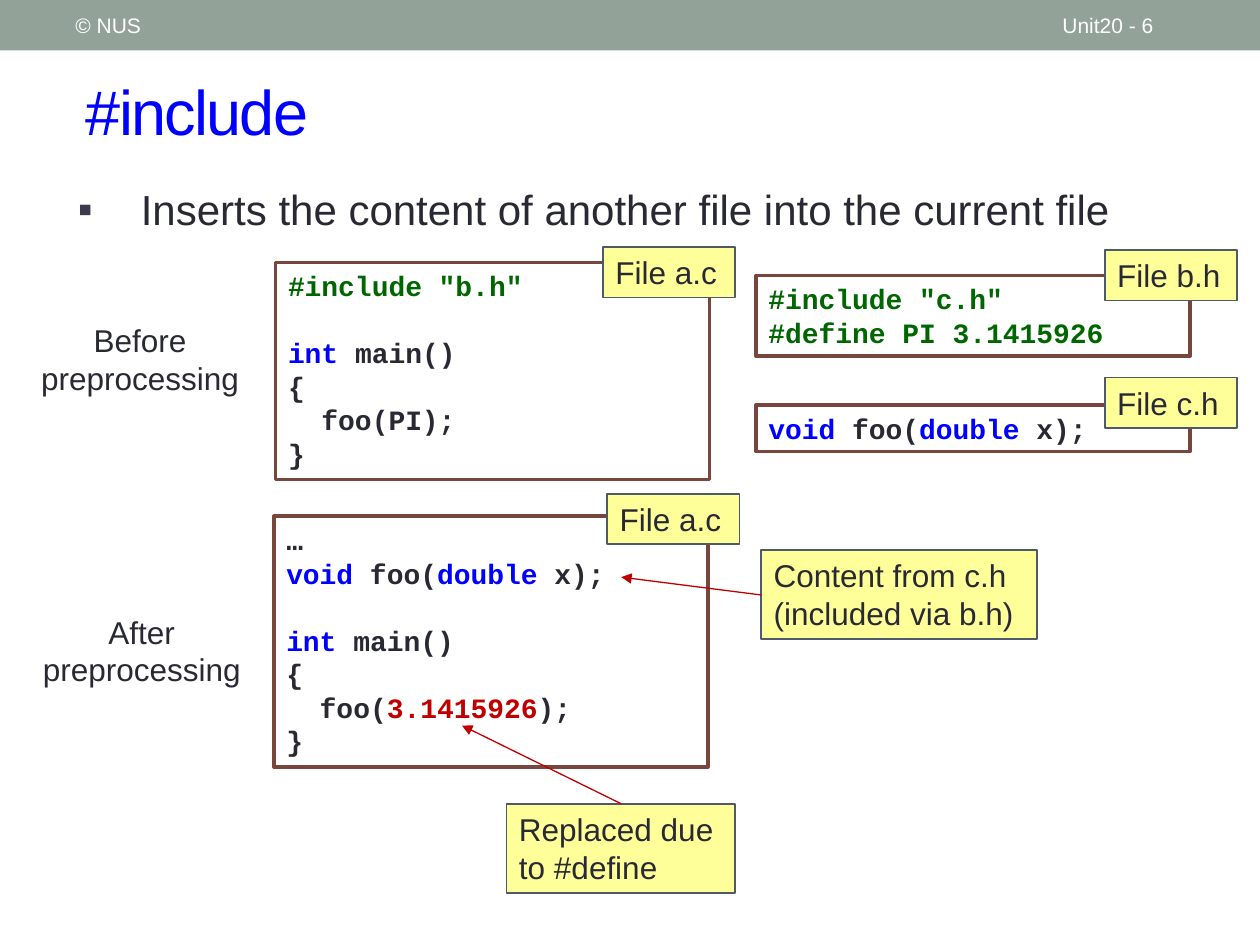
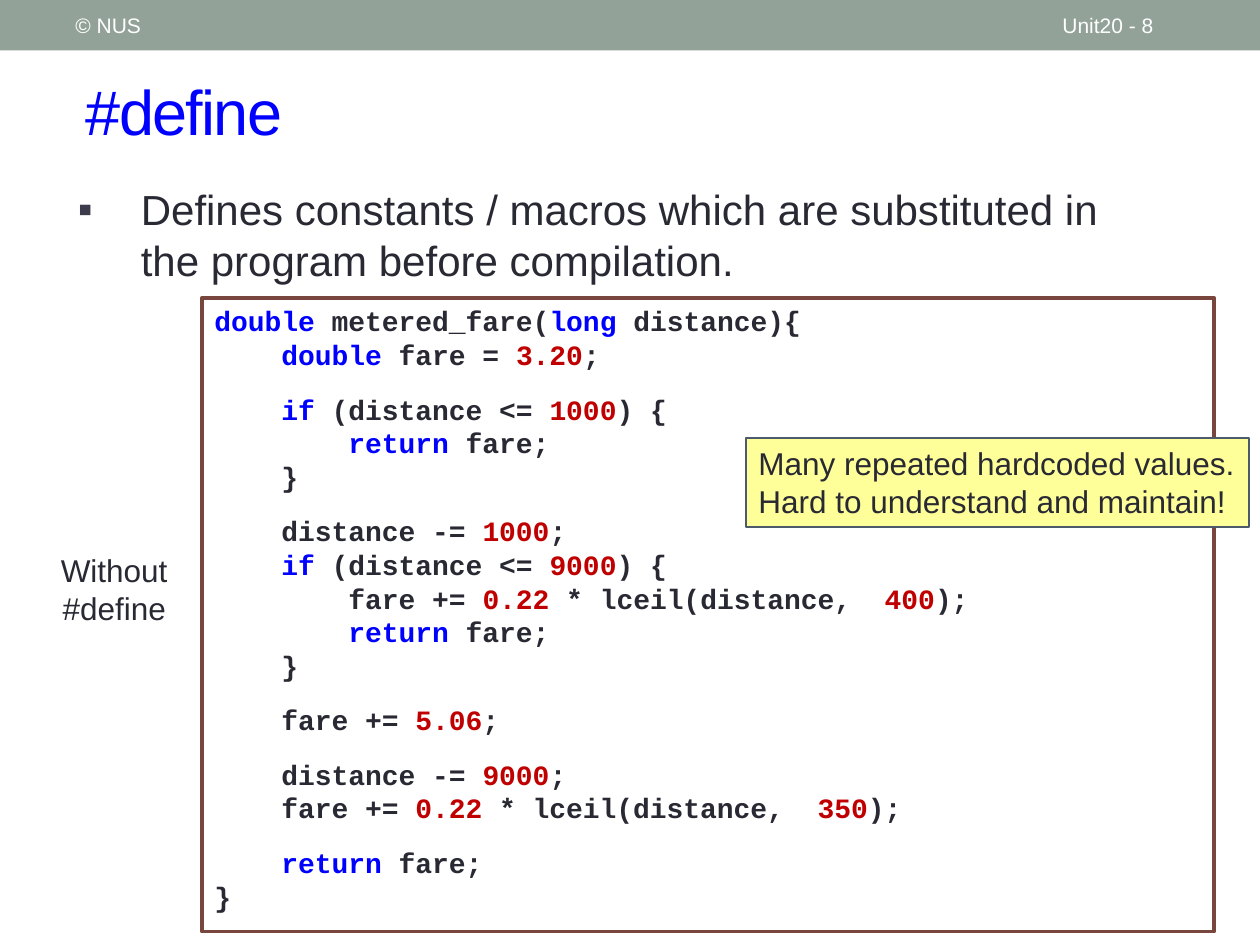
from itertools import groupby

from lxml import etree
from pptx import Presentation
from pptx.dml.color import RGBColor
from pptx.enum.shapes import MSO_CONNECTOR as Connector, MSO_SHAPE as Shape
from pptx.enum.text import MSO_ANCHOR as Anchor, PP_ALIGN as Align
from pptx.oxml.ns import qn
from pptx.util import Pt

WHITE, INK, BAND = "FFFFFF", "292934", "93A299"
TITLE_BLUE, BULLET = "0000FF", "3B3B4B"
KEYWORD, NUMBER, DIRECTIVE = "0000FF", "C00000", "006600"
CODE_EDGE, NOTE_FILL, NOTE_EDGE, ARROW = "79463D", "FFFF99", "4C5A6A", "C00000"
SANS, MONO = "Arial", "Courier New"
LINE_HEIGHT = 1.2
KEYWORDS = {"int", "void", "double", "long", "if", "return"}

A_BEFORE = """#include "b.h"

int main()
{
  foo(PI);
}"""
B_HEADER = """#include "c.h"
#define PI 3.1415926"""
C_HEADER = "void foo(double x);"
A_AFTER = """…
void foo(double x);

int main()
{
  foo(3.1415926);
}"""
METERED_FARE = """double metered_fare(long distance){
    double fare = 3.20;

    if (distance <= 1000) {
        return fare;
    }

    distance -= 1000;
    if (distance <= 9000) {
        fare += 0.22 * lceil(distance,  400);
        return fare;
    }

    fare += 5.06;

    distance -= 9000;
    fare += 0.22 * lceil(distance,  350);

    return fare;
}"""

TAG_SIZE = (75.6, 28.8)
LABEL_SIZE = (137, 70.6)

# Each box is (left, top, width, height); "gap" is the height of an empty code line.
SLIDES = [
    {
        "title": "#include",
        "number": 6,
        "point": "Inserts the content of another file into the current file",
        "gap": 19.2,
        "code": [
            (A_BEFORE, (157.5, 150, 248, 124)),
            (B_HEADER, (432, 157.5, 248, 46)),
            (C_HEADER, (432, 231.5, 248, 26.6)),
            (A_AFTER, (156.5, 295, 248, 143.3)),
        ],
        "labels": [
            ("Before preprocessing", (11.5, 170, *LABEL_SIZE)),
            ("After preprocessing", (12.5, 336.3, *LABEL_SIZE)),
        ],
        "notes": [
            ("File a.c", (344.6, 141.2, *TAG_SIZE)),
            ("File b.h", (631.3, 143, *TAG_SIZE)),
            ("File c.h", (631.3, 215.8, *TAG_SIZE)),
            ("File a.c", (347, 282.2, *TAG_SIZE)),
            ("Replaced due to #define", (289.5, 459.3, 130.5, 51)),
            ("Content from c.h (included via b.h)", (435, 314.3, 157.7, 51)),
        ],
        "arrows": [(355, 459.3, 264, 414.6), (435, 340, 355, 329.8)],
    },
    {
        "title": "#define",
        "number": 8,
        "point": "Defines constants / macros which are substituted in the program "
                 "before compilation.",
        "gap": 12,
        "code": [(METERED_FARE, (115.4, 170.2, 578.4, 362.2))],
        "labels": [("Without #define", (0, 301, 130.5, 70.6))],
        "notes": [("Many repeated hardcoded values.\nHard to understand and maintain!",
                   (426.3, 250.3, 287.5, 51))],
        "arrows": [],
    },
]


def rgb(hex_colour):
    return RGBColor.from_string(hex_colour)


def style(font, size, colour, face=SANS, bold=None):
    font.name, font.size, font.bold = face, Pt(size), bold
    font.color.rgb = rgb(colour)


def add_panel(slide, box, fill, edge=None, weight=1):
    panel = slide.shapes.add_shape(Shape.RECTANGLE, *map(Pt, box))
    panel.shadow.inherit = False
    panel.fill.solid()
    panel.fill.fore_color.rgb = rgb(fill)
    if edge:
        panel.line.color.rgb = rgb(edge)
        panel.line.width = Pt(weight)
    else:
        panel.line.fill.background()
    return panel.text_frame


def add_frame(slide, box):
    return slide.shapes.add_textbox(*map(Pt, box)).text_frame


def write(frame, text, size, colour=INK, align=Align.LEFT, anchor=Anchor.TOP):
    frame.word_wrap = True
    frame.vertical_anchor = anchor
    frame.text = text
    for line in frame.paragraphs:
        line.alignment = align
        line.line_spacing = Pt(size * LINE_HEIGHT)
        for run in line.runs:
            style(run.font, size, colour)
    return frame.paragraphs[0]


def highlight(line):
    """Split a code line into (text, colour) pieces."""
    if line.startswith("#"):
        return [(line, DIRECTIVE)]

    def colour(word):
        if word in KEYWORDS:
            return KEYWORD
        return NUMBER if word[0].isdigit() else INK

    words = ["".join(chars) for _, chars in
             groupby(line, lambda char: char.isalnum() or char in "_.")]
    return [("".join(same), shade) for shade, same in groupby(words, colour)]


def add_code(slide, code, box, gap):
    frame = add_panel(slide, box, WHITE, CODE_EDGE, 2.08)
    frame.word_wrap = True
    frame.vertical_anchor = Anchor.TOP
    paragraph, space = frame.paragraphs[0], 0
    for number, line in enumerate(code.split("\n")):
        if not line:
            space = gap
            continue
        if number:
            paragraph = frame.add_paragraph()
        paragraph.alignment = Align.LEFT
        paragraph.line_spacing = Pt(16 * LINE_HEIGHT)
        paragraph.space_before, space = Pt(space), 0
        for text, colour in highlight(line):
            run = paragraph.add_run()
            run.text = text
            style(run.font, 16, colour, MONO, True)


def add_bullet_point(slide, text):
    paragraph = write(add_frame(slide, (37.4, 101.5, 625.7, 70)), text, 24)
    props = paragraph._p.get_or_add_pPr()
    props.set("marL", str(Pt(36)))
    props.set("indent", str(-Pt(36)))
    bullet_colour = etree.SubElement(props, qn("a:buClr"))
    etree.SubElement(bullet_colour, qn("a:srgbClr"), val=BULLET)
    etree.SubElement(props, qn("a:buFont"), typeface=SANS)
    etree.SubElement(props, qn("a:buChar"), char="▪")


def add_arrow(slide, ends):
    arrow = slide.shapes.add_connector(Connector.STRAIGHT, *map(Pt, ends))
    arrow.line.color.rgb = rgb(ARROW)
    arrow.line.width = Pt(0.75)
    etree.SubElement(arrow.line._get_or_add_ln(), qn("a:tailEnd"), type="triangle")
    etree.SubElement(arrow._element.spPr, qn("a:effectLst"))


def add_header(slide, title, number):
    add_panel(slide, (0, 0, 720, 28.8), BAND)
    heading = write(add_frame(slide, (42, 30.2, 660, 66.2)), title, 36,
                    TITLE_BLUE, anchor=Anchor.MIDDLE)
    heading.runs[0]._r.get_or_add_rPr().set("spc", "-100")
    for text, left, width in ((f"Unit20 - {number}", 600, 84), ("© NUS", 36, 228)):
        write(add_frame(slide, (left, 1.4, width, 26)), text, 12, WHITE,
              anchor=Anchor.MIDDLE)


def build(deck, content):
    slide = deck.slides.add_slide(deck.slide_layouts[6])
    add_header(slide, content["title"], content["number"])
    add_bullet_point(slide, content["point"])
    for code, box in content["code"]:
        add_code(slide, code, box, content["gap"])
    for label, box in content["labels"]:
        write(add_frame(slide, box), label, 18, align=Align.CENTER, anchor=Anchor.MIDDLE)
    for note, box in content["notes"]:
        write(add_panel(slide, box, NOTE_FILL, NOTE_EDGE), note, 18)
    for ends in content["arrows"]:
        add_arrow(slide, ends)


def main():
    deck = Presentation()
    deck.slide_width, deck.slide_height = Pt(720), Pt(540)
    for content in SLIDES:
        build(deck, content)
    deck.save("out.pptx")


if __name__ == "__main__":
    main()
